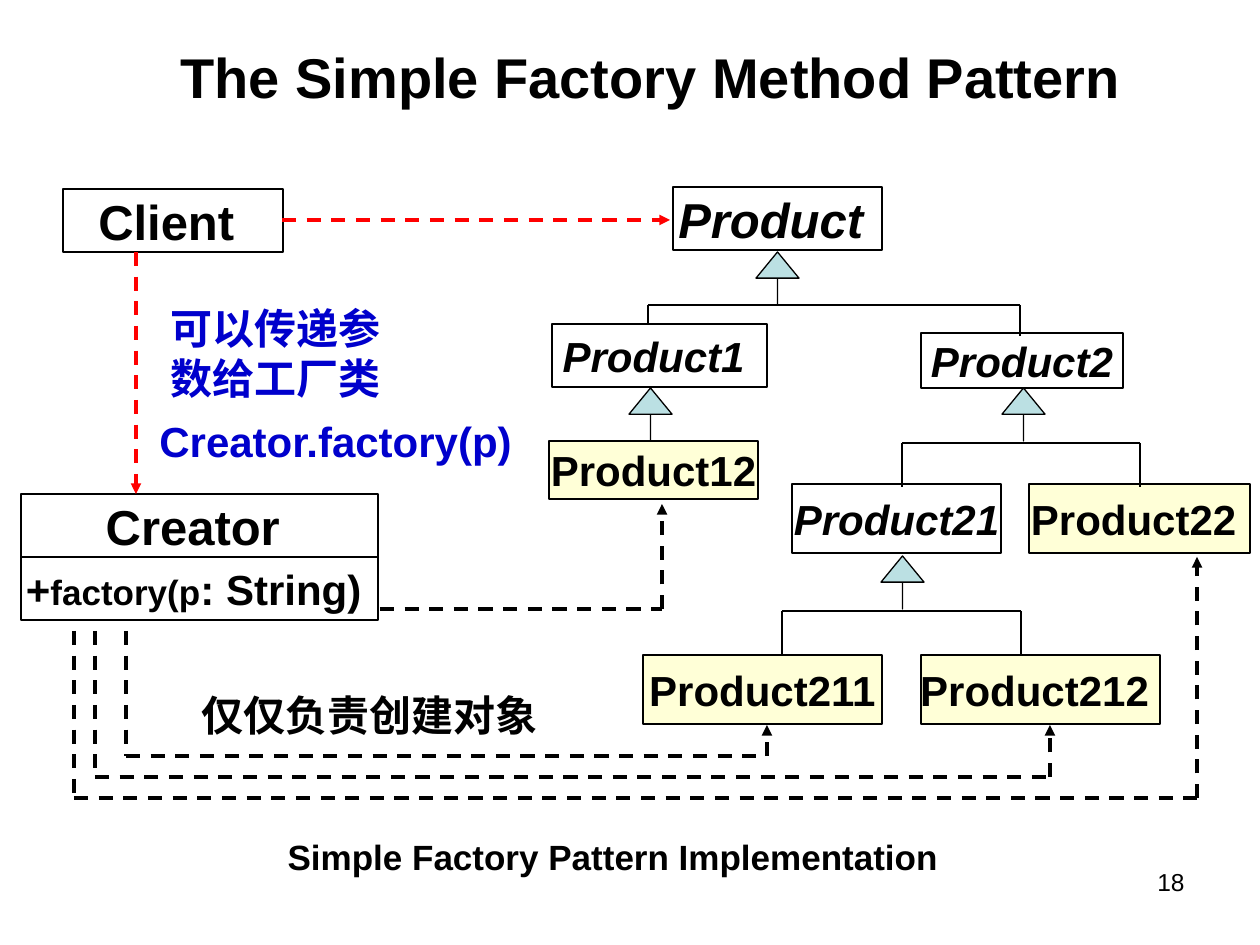
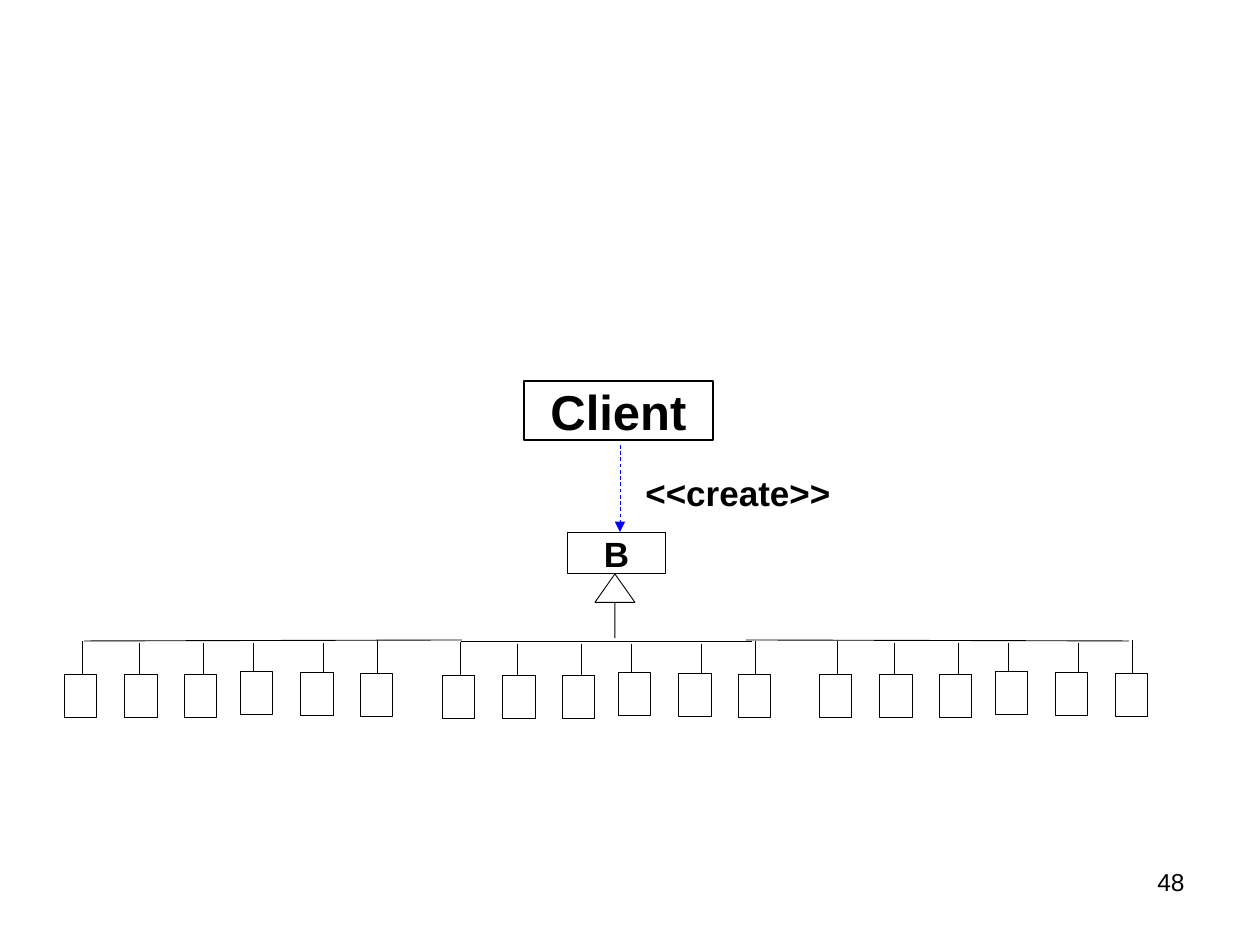
from itertools import pairwise

from lxml import etree
from pptx import Presentation
from pptx.dml.color import RGBColor
from pptx.enum.dml import MSO_LINE
from pptx.enum.shapes import MSO_CONNECTOR, MSO_SHAPE
from pptx.enum.text import MSO_ANCHOR as Anchor, PP_ALIGN as Align
from pptx.oxml.ns import qn
from pptx.util import Pt

PX = 914400 / 126
SLIDE_SIZE = 1260, 945
PAGE_NUMBER_BOX = 903, 861, 294, 65
LATIN, CHINESE = "Arial", "Noto Sans CJK SC"
BLACK, WHITE, RED, BLUE = "000000", "FFFFFF", "FF0000", "0000FF"
NAVY, CONCRETE, TEAL = "0000CC", "FFFF99", "BBE0E3"
CONCRETE_ALPHA = 39

TITLE = ("The Simple Factory Method Pattern", (84, 32, 1134, 88))
ABSTRACT_CLASSES = [
    ("Product ", 28, (673, 187, 209, 63)),
    ("Product2", 24, (921, 333, 202, 55)),
    ("Product21", 24, (792, 484, 209, 69)),
]
FRONT_ABSTRACT_CLASS = ("Product1 ", 24, (552, 324, 215, 63))
CONCRETE_CLASSES = [
    ("Product12", (549, 441, 209, 58)),
    ("Product22 ", (1029, 484, 221, 69)),
    ("Product211", (643, 655, 239, 69)),
    ("Product212 ", (921, 655, 239, 69)),
]
CLIENT = ("Client ", 28, (63, 189, 220, 63))
CREATOR = ("Creator ", 28, (21, 494, 357, 63))
FACTORY_RUNS = [("+", 24), ("factory(p", 20), (": String) ", 24)]
FACTORY_BOX = 21, 557, 357, 63
BRACKETS = [
    (648, 1020, 305, 336),
    (902, 1140, 443, 487),
    (782, 1021, 611, 655),
]
INHERITANCE = [(756, 252), (1002, 388), (629, 388), (881, 556)]
CREATES = [
    [(158, 609), (662, 609), (662, 504)],
    [(126, 557), (126, 756), (767, 756), (767, 725)],
    [(95, 557), (95, 777), (1050, 777), (1050, 725)],
    [(74, 557), (74, 798), (1197, 798), (1197, 557)],
]
CALLS = [
    [(136, 252), (136, 494)],
    [(282, 220), (670, 220)],
]
NOTES = [
    (["可以传递参", "数给工厂类"], CHINESE, 24, NAVY, Align.LEFT, (158, 296, 242, 113)),
    (["Creator.factory(p)"], LATIN, 24, NAVY, Align.LEFT, (147, 409, 388, 63)),
    (["仅仅负责创建对象"], CHINESE, 24, BLACK, Align.LEFT, (189, 683, 368, 63)),
    (["Simple Factory Pattern Implementation"], LATIN, 20, BLACK, Align.CENTER,
     (218, 829, 790, 55)),
]

CALLER = ("Client", 28, 1, (524, 381, 189, 59))
BASE = ("B", 20, 0.5, (567, 532, 99, 42))
CREATE_NOTE = (["<<create>>"], LATIN, 20, BLACK, Align.LEFT, (633, 465, 231, 55))
CREATE_CALL = [(620, 445), (620, 532)]
BASE_ARROW = 595, 574, 40, 64
BARS = [((84, 641), (462, 640)), ((461, 641), (752, 641)), ((746, 640), (1129, 641))]
FAMILIES = [(64, 0), (442, 1), (819, 0)]
MEMBERS = [
    (0, 674, 18, 641),
    (60, 674, 75, 643),
    (120, 674, 139, 643),
    (176, 671, 189, 643),
    (236, 672, 259, 643),
    (296, 673, 313, 640),
]
MEMBER_SIZE = 33, 43
STEM = 69


def emu(*lengths):
    return [round(length * PX) for length in lengths]


def rgb(value):
    return RGBColor.from_string(value)


def write(frame, paragraphs, align, font=LATIN, color=BLACK, bold=True, italic=False):
    for index, runs in enumerate(paragraphs):
        paragraph = frame.paragraphs[0] if index == 0 else frame.add_paragraph()
        paragraph.alignment = align
        for text, size in runs:
            run = paragraph.add_run()
            run.text = text
            style = run.font
            style.name, style.size, style.bold, style.italic = font, Pt(size), bold, italic
            style.color.rgb = rgb(color)
            east_asian = etree.SubElement(run.font._element, qn("a:ea"))
            east_asian.set("typeface", font)


def shape(slide, preset, box, fill=WHITE, width=0.75, alpha=None):
    drawn = slide.shapes.add_shape(preset, *emu(*box))
    drawn.shadow.inherit = False
    drawn.fill.solid()
    drawn.fill.fore_color.rgb = rgb(fill)
    if alpha:
        color = drawn.fill._xPr.find(qn("a:solidFill"))[0]
        etree.SubElement(color, qn("a:alpha")).set("val", str(alpha * 1000))
    drawn.line.color.rgb = rgb(BLACK)
    drawn.line.width = Pt(width)
    return drawn


def class_box(slide, runs, box, italic=False, **look):
    frame = shape(slide, MSO_SHAPE.RECTANGLE, box, **look).text_frame
    frame.margin_left = frame.margin_right = frame.margin_top = frame.margin_bottom = 0
    frame.vertical_anchor = Anchor.MIDDLE
    frame.word_wrap = False
    write(frame, [runs], Align.CENTER, italic=italic)


def inheritance(slide, box, head, **look):
    arrow = shape(slide, MSO_SHAPE.UP_ARROW, box, **look)
    arrow.adjustments[0], arrow.adjustments[1] = 0, head


def label(slide, lines, font, size, color, align, box, bold=True, anchor=Anchor.TOP):
    frame = slide.shapes.add_textbox(*emu(*box)).text_frame
    frame.word_wrap = True
    frame.vertical_anchor = anchor
    write(frame, [[(line, size)] for line in lines], align, font, color, bold)


def line(slide, start, end, color=BLACK, width=0.75, dashed=False, arrow=False):
    drawn = slide.shapes.add_connector(MSO_CONNECTOR.STRAIGHT, *emu(*start, *end))
    drawn.line.color.rgb = rgb(color)
    drawn.line.width = Pt(width)
    if dashed:
        drawn.line.dash_style = MSO_LINE.DASH
    if arrow:
        tail = etree.SubElement(drawn.line._get_or_add_ln(), qn("a:tailEnd"))
        tail.set("type", "triangle")
    etree.SubElement(drawn._element.spPr, qn("a:effectLst"))


def route(slide, points, color=BLACK, width=2):
    for start, end in pairwise(points):
        line(slide, start, end, color, width, dashed=True, arrow=end == points[-1])


def new_slide(deck, number):
    slide = deck.slides.add_slide(deck.slide_layouts[6])
    label(slide, [number], LATIN, 14, BLACK, Align.RIGHT, PAGE_NUMBER_BOX, bold=False)
    return slide


def factory_slide(deck):
    slide = new_slide(deck, "18")
    title, title_box = TITLE
    label(slide, [title], LATIN, 32, BLACK, Align.CENTER, title_box, anchor=Anchor.MIDDLE)
    for name, size, box in ABSTRACT_CLASSES:
        class_box(slide, [(name, size)], box, italic=True)
    for name, box in CONCRETE_CLASSES:
        class_box(slide, [(name, 24)], box, fill=CONCRETE, alpha=CONCRETE_ALPHA)
    for left, right, top, bottom in BRACKETS:
        line(slide, (left, top), (right, top))
        for x in (left, right):
            line(slide, (x, top), (x, bottom))
    for points in CREATES:
        route(slide, points)
    for name, size, box in (CLIENT, CREATOR):
        class_box(slide, [(name, size)], box)
    for points in CALLS:
        route(slide, points, RED)
    for note in NOTES:
        label(slide, *note)
    for left, top in INHERITANCE:
        inheritance(slide, (left, top, 43, 53), 0.61, fill=TEAL)
    name, size, box = FRONT_ABSTRACT_CLASS
    class_box(slide, [(name, size)], box, italic=True)
    class_box(slide, FACTORY_RUNS, FACTORY_BOX)


def hierarchy_slide(deck):
    slide = new_slide(deck, "48")
    for name, size, width, box in (CALLER, BASE):
        class_box(slide, [(name, size)], box, width=width)
    inheritance(slide, BASE_ARROW, 0.71, width=0.5)
    for start, end in BARS:
        line(slide, start, end, width=0.5)
    for left, shift in FAMILIES:
        for box_x, box_y, stem_x, stem_y in MEMBERS:
            x, y = left + stem_x, stem_y + shift
            line(slide, (x, y), (x, y + STEM), width=0.5)
            box = left + box_x, box_y + shift, *MEMBER_SIZE
            shape(slide, MSO_SHAPE.RECTANGLE, box, width=0.5)
    route(slide, CREATE_CALL, BLUE, 0.5)
    label(slide, *CREATE_NOTE)


def main():
    deck = Presentation()
    deck.slide_width, deck.slide_height = emu(*SLIDE_SIZE)
    factory_slide(deck)
    hierarchy_slide(deck)
    deck.save("out.pptx")


if __name__ == "__main__":
    main()
